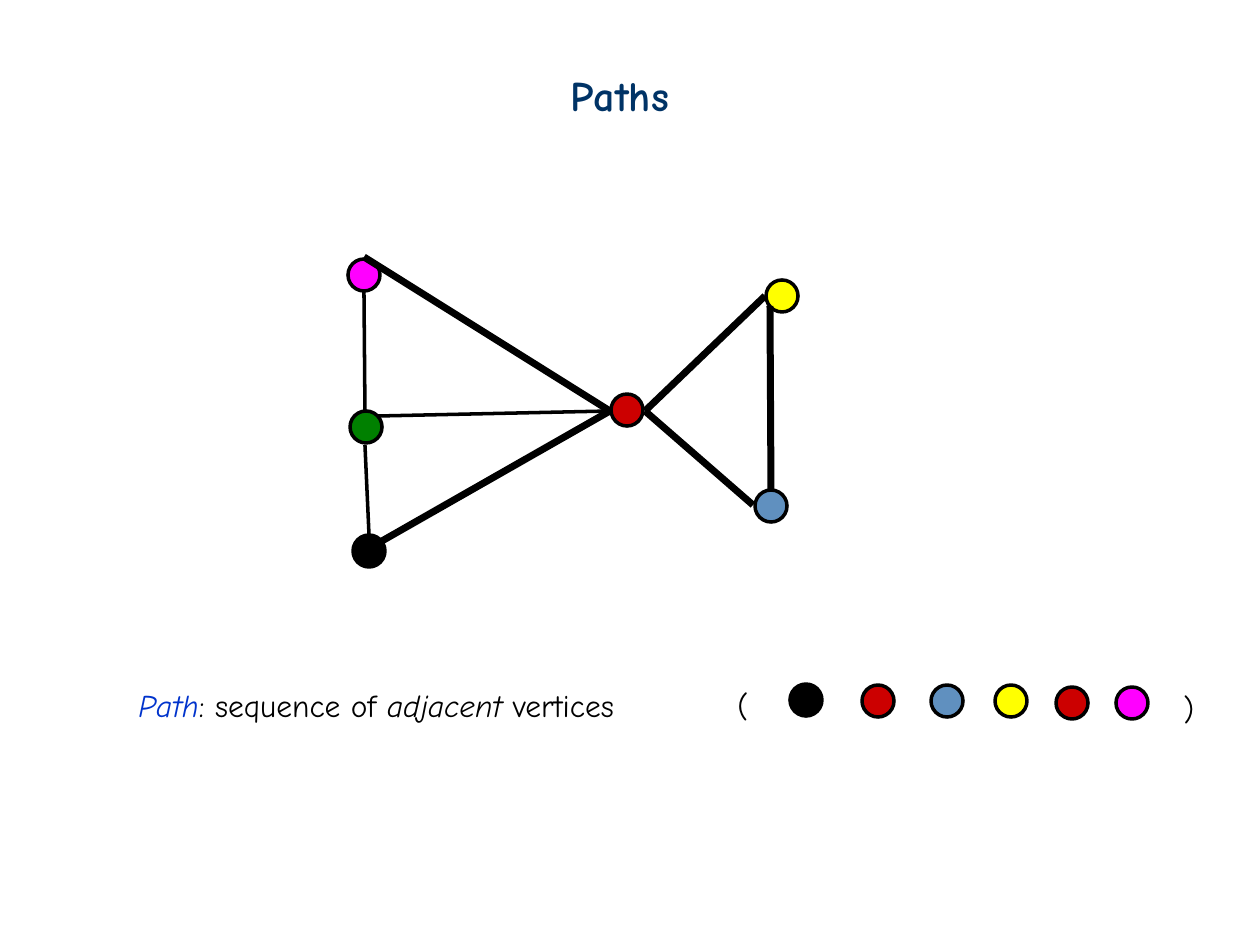
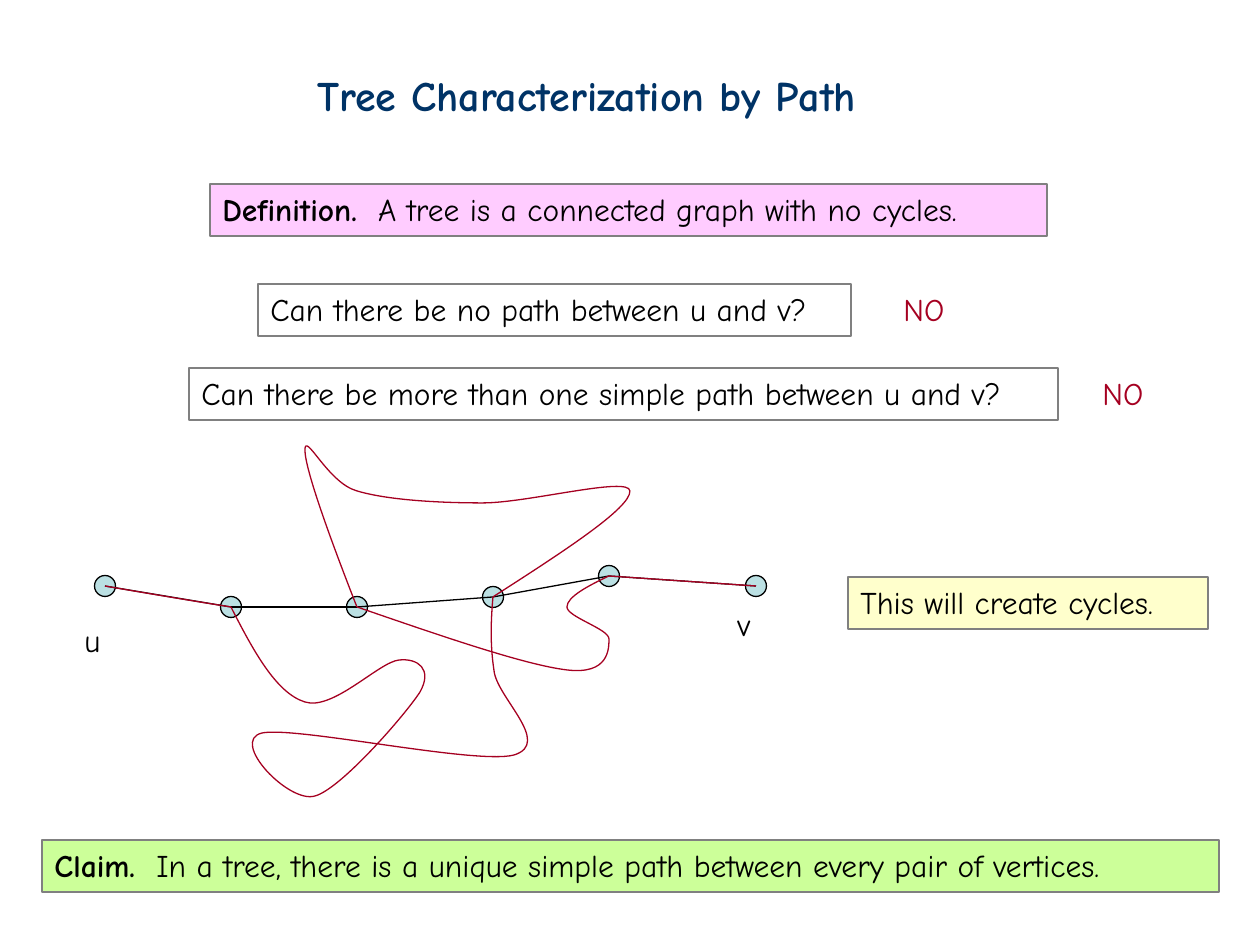
from itertools import pairwise

from pptx import Presentation
from pptx.dml.color import RGBColor
from pptx.enum.shapes import MSO_CONNECTOR as Connector, MSO_SHAPE as Shape
from pptx.enum.text import MSO_ANCHOR as Anchor, MSO_AUTO_SIZE as AutoSize, PP_ALIGN as Align
from pptx.oxml.ns import qn
from pptx.util import Pt
from lxml.etree import SubElement

SCALE = 914400 / 126
FONT = "Comic Neue"
TITLE_ONLY = 5
LINE_HEIGHT = 50
BOX_HEIGHT = 52
COLORS = {
    "title": "003366", "term": "0033CC", "answer": "A50021",
    "black": "000000", "red": "CC0000", "blue": "6090BF",
    "yellow": "FFFF00", "green": "008000", "magenta": "FF00FF",
    "vertex": "BBE0E3", "border": "808080",
    "definition": "FFCCFF", "note": "FFFFCC", "claim": "CCFF99",
}

GRAPH_NODES = [
    ("yellow", 782, 296), ("blue", 771, 506), ("green", 366, 427),
    ("magenta", 364, 275), ("black", 369, 551), ("red", 627, 410),
]
THIN_EDGES = [
    ((365, 445), (369, 534)), ((378, 416), (610, 411)), ((364, 292), (365, 410)),
]
THICK_EDGES = [
    ((770, 306), (771, 489)), ((765, 296), (645, 411)), ((645, 411), (753, 505)),
    ((610, 411), (382, 541)), ((610, 411), (364, 257)),
]
SEQUENCE_NODES = [
    ("black", 806, 700), ("red", 878, 701), ("blue", 947, 701),
    ("yellow", 1011, 701), ("red", 1072, 703), ("magenta", 1132, 703),
]
TREE_VERTICES = [(105, 586), (231, 607), (357, 607), (493, 597), (609, 576), (756, 586)]
DETOURS = [
    [(105, 586), (105, 586), (168, 597), (231, 607)],
    [(231, 607), (253, 650), (276, 693), (305, 702), (333, 711), (379, 662), (399, 660),
     (418, 658), (433, 669), (420, 692), (406, 714), (341, 789), (315, 796),
     (289, 804), (229, 741), (262, 733), (296, 726), (476, 765), (514, 755),
     (553, 743), (496, 697), (494, 670), (490, 644), (491, 620), (493, 597)],
    [(493, 597), (563, 552), (631, 508), (630, 491), (629, 476), (528, 503), (483, 503),
     (437, 503), (387, 500), (357, 491), (328, 483), (305, 431), (305, 450),
     (305, 469), (330, 538), (357, 607)],
    [(357, 607), (441, 636), (525, 665), (567, 670), (609, 675), (609, 649), (609, 639),
     (609, 629), (567, 617), (567, 607), (567, 597), (588, 586), (609, 576)],
]


def emu(*pixels):
    """Turn pixel lengths into EMU."""
    return [round(value * SCALE) for value in pixels]


def color(name):
    """Return a named colour."""
    return RGBColor.from_string(COLORS[name])


def style_shape(shape, fill, line, weight):
    """Set fill and outline and drop the shadow."""
    shape.shadow.inherit = False
    if fill:
        shape.fill.solid()
        shape.fill.fore_color.rgb = color(fill)
    else:
        shape.fill.background()
    shape.line.color.rgb = color(line)
    shape.line.width = Pt(weight)


def write_text(shape, runs, size=18, text_color="black", bold=None):
    """Write one left-aligned paragraph from (text, font settings) runs."""
    frame = shape.text_frame
    frame.word_wrap = True
    frame.auto_size = AutoSize.NONE
    frame.vertical_anchor = Anchor.TOP
    paragraph = frame.paragraphs[0]
    paragraph.alignment = Align.LEFT
    font = paragraph.font
    font.name, font.size, font.bold = FONT, Pt(size), bold
    font.color.rgb = color(text_color)
    for text, settings in runs:
        run = paragraph.add_run()
        run.text = text
        run.font.bold = settings.get("bold")
        run.font.italic = settings.get("italic")
        if "color" in settings:
            run.font.color.rgb = color(settings["color"])


def add_titled_slide(presentation, title, left, width):
    """Add a slide with its title in the shared style."""
    slide = presentation.slides.add_slide(presentation.slide_layouts[TITLE_ONLY])
    shape = slide.shapes.title
    shape.left, shape.top, shape.width, shape.height = emu(left, 63, width, 63)
    write_text(shape, [(title, {})], 24, "title", True)
    return slide


def add_label(slide, runs, left, top, width, text_color="black"):
    """Add a line of plain text."""
    shape = slide.shapes.add_textbox(*emu(left, top, width, LINE_HEIGHT))
    write_text(shape, runs, text_color=text_color)


def add_box(slide, runs, left, top, width, fill=None):
    """Add a bordered statement box."""
    shape = slide.shapes.add_shape(Shape.RECTANGLE, *emu(left, top, width, BOX_HEIGHT))
    style_shape(shape, fill, "border", 0.75)
    write_text(shape, runs)


def add_node(slide, fill, x, y, diameter, weight):
    """Add a round vertex centred on a point."""
    corner = x - diameter / 2, y - diameter / 2
    shape = slide.shapes.add_shape(Shape.OVAL, *emu(*corner, diameter, diameter))
    style_shape(shape, fill, "black", weight)


def add_edge(slide, start, end, weight, line="black"):
    """Add a straight edge between two points."""
    edge = slide.shapes.add_connector(Connector.STRAIGHT, *emu(*start, *end))
    edge.line.color.rgb = color(line)
    edge.line.width = Pt(weight)
    SubElement(edge._element.spPr, qn("a:effectLst"))


def add_curve(slide, points):
    """Add an open curve from a start and triples of Bezier points."""
    builder = slide.shapes.build_freeform(*points[0], scale=SCALE)
    builder.add_line_segments(points[1:], close=False)
    shape = builder.convert_to_shape()
    style_shape(shape, None, "answer", 0.75)
    segments = list(shape._element.iter(qn("a:lnTo")))
    outline = segments[0].getparent()
    for first in range(0, len(segments), 3):
        curve = SubElement(outline, qn("a:cubicBezTo"))
        for segment in segments[first:first + 3]:
            curve.append(segment[0])
            outline.remove(segment)


def build_paths_slide(presentation):
    """Show a walk through a graph and its vertex sequence."""
    slide = add_titled_slide(presentation, "Paths", 558, 135)
    for node in GRAPH_NODES + SEQUENCE_NODES:
        add_node(slide, *node, 32, 2)
    for weight, edges in ((2, THIN_EDGES), (4, THICK_EDGES)):
        for start, end in edges:
            add_edge(slide, start, end, weight)
    add_label(slide, [
        ("Path", {"italic": True, "color": "term"}),
        (": sequence of ", {}),
        ("adjacent", {"italic": True}),
        (" vertices", {}),
    ], 126, 680, 557)
    add_label(slide, [("(", {})], 725, 680, 37)
    add_label(slide, [(")", {})], 1171, 683, 37)


def build_tree_slide(presentation):
    """Show why a tree has one simple path between two vertices."""
    slide = add_titled_slide(presentation, "Tree Characterization by Path", 305, 649)
    add_box(slide, [
        ("Definition.", {"bold": True}),
        ("  A tree is a connected graph with no cycles.", {}),
    ], 210, 184, 837, "definition")
    add_box(slide, [("Can there be no path between u and v?", {})], 258, 284, 593)
    add_box(slide, [("Can there be more than one simple path between u and v?", {})],
            189, 368, 869)
    for left, top in ((891, 284), (1090, 368)):
        add_label(slide, [("NO", {})], left, top, 76, "answer")
    for x, y in TREE_VERTICES:
        add_node(slide, "vertex", x, y, 21, 0.75)
    for start, end in pairwise(TREE_VERTICES):
        add_edge(slide, start, end, 0.75)
    for points in DETOURS:
        add_curve(slide, points)
    add_edge(slide, *TREE_VERTICES[-2:], 0.75, "answer")
    add_box(slide, [("This will create cycles.", {})], 848, 577, 360, "note")
    add_box(slide, [
        ("Claim.", {"bold": True}),
        ("  In a tree, there is a unique simple path between every pair of vertices.", {}),
    ], 42, 840, 1177, "claim")
    add_label(slide, [("u", {})], 72, 615, 42)
    add_label(slide, [("v", {})], 725, 599, 40)


def main():
    """Build and save the presentation."""
    presentation = Presentation()
    presentation.slide_width, presentation.slide_height = emu(1260, 945)
    build_paths_slide(presentation)
    build_tree_slide(presentation)
    presentation.save("out.pptx")


main()
